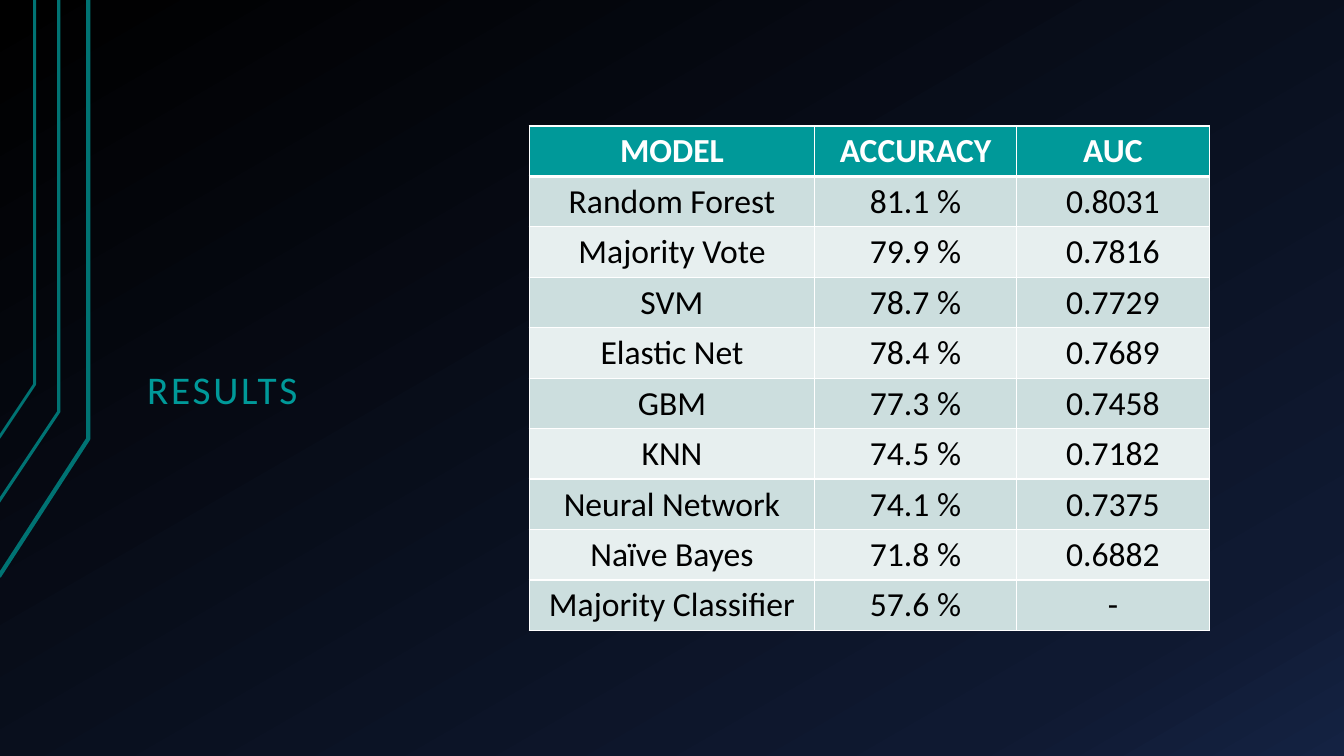
from copy import deepcopy

from lxml import etree
from pptx import Presentation
from pptx import util as u
from pptx.dml.color import RGBColor
from pptx.enum import text
from pptx.oxml import ns

PX = 9525  # 96 px to the inch
FONT = "Calibri"
TEAL, DARK_TEAL, WHITE, BLACK = "009999", "007373", "FFFFFF", "000000"
BANDS = ("CCDEDE", "E7EFEF")
BACKDROP = [(0, "000000"), (0.85, "0F1931"), (1, "142242")]

# Each line: left end, bend, top end, and weight in points
CORNER_LINES = [
    ((-1, 549), (84, 418), 3),
    ((-2, 479), (56, 392), 2.25),
    ((-1, 417), (33, 366), 2),
]

COLUMNS = (272, 192, 184)
RESULTS = [
    ("MODEL", "ACCURACY", "AUC"),
    ("Random Forest", "81.1 %", "0.8031"),
    ("Majority Vote", "79.9 %", "0.7816"),
    ("SVM", "78.7 %", "0.7729"),
    ("Elastic Net", "78.4 %", "0.7689"),
    ("GBM", "77.3 %", "0.7458"),
    ("KNN", "74.5 %", "0.7182"),
    ("Neural Network", "74.1 %", "0.7375"),
    ("Naïve Bayes", "71.8 %", "0.6882"),
    ("Majority Classifier", "57.6 %", "-"),
]


def px(*lengths):
    return [length * PX for length in lengths]


def color(value):
    return RGBColor.from_string(value)


def add_span(para, words, size, ink, bold=False):
    span = para.add_run()
    span.text = words
    span.font.name = FONT
    span.font.size = u.Pt(size)
    span.font.bold = bold
    span.font.color.rgb = color(ink)
    return span


def paint_background(page):
    fill = page.background.fill
    fill.gradient()
    fill.gradient_angle = 300  # counter-clockwise
    stop_list = page.element.find(".//" + ns.qn("a:gsLst"))
    stop_list.append(deepcopy(stop_list[-1]))
    for stop, (position, ink) in zip(fill.gradient_stops, BACKDROP):
        stop.position = position
        stop.color.rgb = color(ink)


def draw_corner_lines(page, left, top):
    for (end_x, end_y), (bend_x, bend_y), weight in CORNER_LINES:
        builder = page.shapes.build_freeform(left + end_x, top + end_y, scale=PX)
        builder.add_line_segments(
            [(left + bend_x, top + bend_y), (left + bend_x, top)], close=False)
        outline = builder.convert_to_shape()
        outline.shadow.inherit = False
        outline.fill.background()
        outline.line.color.rgb = color(DARK_TEAL)
        outline.line.width = u.Pt(weight)


def draw_title(page, left, top, width, height):
    box = page.shapes.add_textbox(*px(left, top, width, height))
    frame = box.text_frame
    frame.word_wrap = True
    frame.vertical_anchor = text.MSO_ANCHOR.BOTTOM
    frame.margin_left = frame.margin_right = 12 * PX
    frame.margin_top = frame.margin_bottom = 7 * PX
    para = frame.paragraphs[0]
    para.line_spacing = 0.9
    span = add_span(para, "RESULTS", 28, TEAL)
    span.font._element.set("spc", "200")


def set_border(cell, side, weight):
    properties = cell._tc.get_or_add_tcPr()
    line = etree.SubElement(properties, ns.qn("a:ln" + side), w=str(u.Pt(weight)))
    solid = etree.SubElement(line, ns.qn("a:solidFill"))
    etree.SubElement(solid, ns.qn("a:srgbClr"), val=WHITE)


def draw_results_table(page, left, top, width, height):
    frame = page.shapes.add_table(
        len(RESULTS), len(COLUMNS), *px(left, top, width, height))
    table = frame.table
    for column, column_width in zip(table.columns, COLUMNS):
        column.width = column_width * PX
    for row, values in enumerate(RESULTS):
        header = row == 0
        for column, value in enumerate(values):
            cell = table.cell(row, column)
            # Borders come before the fill; the header rule is heavier
            for side in "LRTB":
                heavy = (row, side) in ((0, "B"), (1, "T"))
                set_border(cell, side, 3 if heavy else 1)
            cell.fill.solid()
            cell.fill.fore_color.rgb = color(TEAL if header else BANDS[(row - 1) % 2])
            para = cell.text_frame.paragraphs[0]
            para.alignment = text.PP_ALIGN.CENTER
            add_span(para, value, 24, WHITE if header else BLACK, header)


def main():
    deck = Presentation()
    deck.slide_width, deck.slide_height = px(1280, 720)
    page = deck.slides.add_slide(deck.slide_layouts[6])
    paint_background(page)
    draw_corner_lines(page, 0, 0)
    draw_title(page, 128, 144, 426, 256)
    draw_results_table(page, 504, 120, sum(COLUMNS), 480)
    deck.save("out.pptx")


if __name__ == "__main__":
    main()
